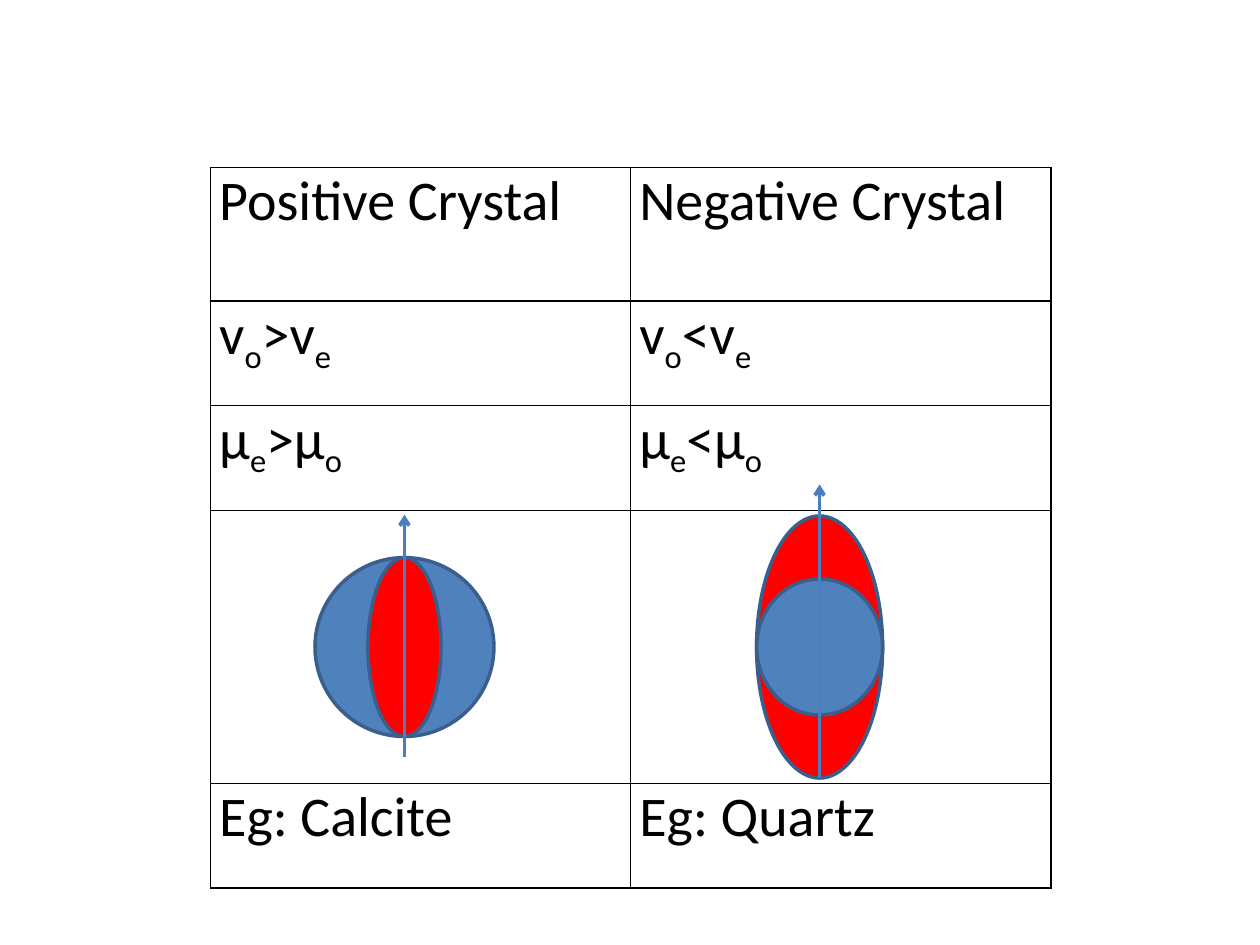
from dataclasses import dataclass

from lxml import etree
from pptx import Presentation
from pptx.dml.color import RGBColor
from pptx.enum.shapes import MSO_CONNECTOR, MSO_SHAPE
from pptx.oxml.ns import qn
from pptx.util import Inches, Pt

OVAL = MSO_SHAPE.OVAL
STRAIGHT = MSO_CONNECTOR.STRAIGHT
BLANK_LAYOUT = 6


@dataclass(frozen=True)
class Theme:
    font: str = "Calibri"
    text_size: int = 32
    text: str = "000000"
    border: str = "000000"
    border_width: int = 1
    ordinary: str = "4F81BD"
    extraordinary: str = "FF0000"
    outline: str = "3A5F8C"
    axis: str = "4B7EBC"
    line_width: int = 2


@dataclass(frozen=True)
class Crystal:
    axis_offset: float  # from the left of the cell
    waves: tuple        # (width, height, colour), from back to front
    axis_up: float      # from the centre of the waves
    axis_down: float


THEME = Theme()

# Table contents: "_" puts the next letter in subscript
ROWS = [
    ("Positive Crystal", "Negative Crystal"),
    ("v_o>v_e", "v_o<v_e"),
    ("μ_e>μ_o", "μ_e<μ_o"),
    ("", ""),
    ("Eg: Calcite", "Eg: Quartz"),
]
ROW_HEIGHTS = [1.06, 0.83, 0.83, 2.17, 0.83]
DRAWING_ROW = 3
TABLE_BOX = (1.67, 1.33, 6.67, sum(ROW_HEIGHTS))

CRYSTALS = [
    Crystal(1.54, ((1.42, 1.42, THEME.ordinary),
                   (0.58, 1.42, THEME.extraordinary)), 1.05, 0.87),
    Crystal(1.5, ((1, 2.08, THEME.extraordinary),
                  (1, 1.08, THEME.ordinary)), 1.29, 1.04),
]


def set_borders(cell):
    properties = cell._tc.get_or_add_tcPr()
    for side in ("lnL", "lnR", "lnT", "lnB"):
        line = etree.SubElement(properties, qn(f"a:{side}"),
                                w=str(Pt(THEME.border_width)))
        fill = etree.SubElement(line, qn("a:solidFill"))
        etree.SubElement(fill, qn("a:srgbClr"), val=THEME.border)


def write_formula(paragraph, text):
    """Add runs, lowering each letter that follows an underscore."""
    first, *rest = text.split("_")
    pieces = [(first, False)]
    for part in rest:
        pieces += [(part[0], True), (part[1:], False)]
    for piece, is_subscript in pieces:
        if piece:
            run = paragraph.add_run()
            run.text = piece
            if is_subscript:
                run._r.get_or_add_rPr().set("baseline", "-25000")


def fill_cell(cell, text):
    set_borders(cell)
    cell.fill.background()
    cell.margin_left = cell.margin_right = Inches(0.07)
    cell.margin_top = cell.margin_bottom = 0
    paragraph = cell.text_frame.paragraphs[0]
    paragraph.font.name = THEME.font
    paragraph.font.size = Pt(THEME.text_size)
    paragraph.font.color.rgb = RGBColor.from_string(THEME.text)
    write_formula(paragraph, text)


def add_comparison_table(slide, box):
    left, top, width, height = map(Inches, box)
    table = slide.shapes.add_table(len(ROWS), len(ROWS[0]),
                                   left, top, width, height).table
    table.first_row = table.horz_banding = False
    for row, row_height, texts in zip(table.rows, ROW_HEIGHTS, ROWS):
        row.height = Inches(row_height)
        for cell, text in zip(row.cells, texts):
            fill_cell(cell, text)


def add_wave(slide, centre_x, centre_y, width, height, colour):
    shape = slide.shapes.add_shape(
        OVAL, Inches(centre_x - width / 2), Inches(centre_y - height / 2),
        Inches(width), Inches(height))
    shape.shadow.inherit = False
    shape.fill.solid()
    shape.fill.fore_color.rgb = RGBColor.from_string(colour)
    shape.line.color.rgb = RGBColor.from_string(THEME.outline)
    shape.line.width = Pt(THEME.line_width)


def add_optic_axis(slide, x, bottom, top):
    connector = slide.shapes.add_connector(
        STRAIGHT, Inches(x), Inches(bottom), Inches(x), Inches(top))
    connector.line.color.rgb = RGBColor.from_string(THEME.axis)
    connector.line.width = Pt(THEME.line_width)
    etree.SubElement(connector.line._get_or_add_ln(), qn("a:tailEnd"),
                     type="arrow")
    etree.SubElement(connector._element.spPr, qn("a:effectLst"))


def add_crystal(slide, box, crystal):
    left, top, _, height = box
    centre_x = left + crystal.axis_offset
    centre_y = top + height / 2
    for wave in crystal.waves:
        add_wave(slide, centre_x, centre_y, *wave)
    add_optic_axis(slide, centre_x, centre_y + crystal.axis_down,
                   centre_y - crystal.axis_up)


def main():
    presentation = Presentation()
    presentation.slide_width = Inches(10)
    presentation.slide_height = Inches(7.5)
    slide = presentation.slides.add_slide(
        presentation.slide_layouts[BLANK_LAYOUT])

    add_comparison_table(slide, TABLE_BOX)

    # Wave surfaces, one in each cell of the drawing row
    left, top, width, _ = TABLE_BOX
    cell_width = width / len(CRYSTALS)
    cell_top = top + sum(ROW_HEIGHTS[:DRAWING_ROW])
    for column, crystal in enumerate(CRYSTALS):
        cell_box = (left + column * cell_width, cell_top,
                    cell_width, ROW_HEIGHTS[DRAWING_ROW])
        add_crystal(slide, cell_box, crystal)

    presentation.save("out.pptx")


if __name__ == "__main__":
    main()
